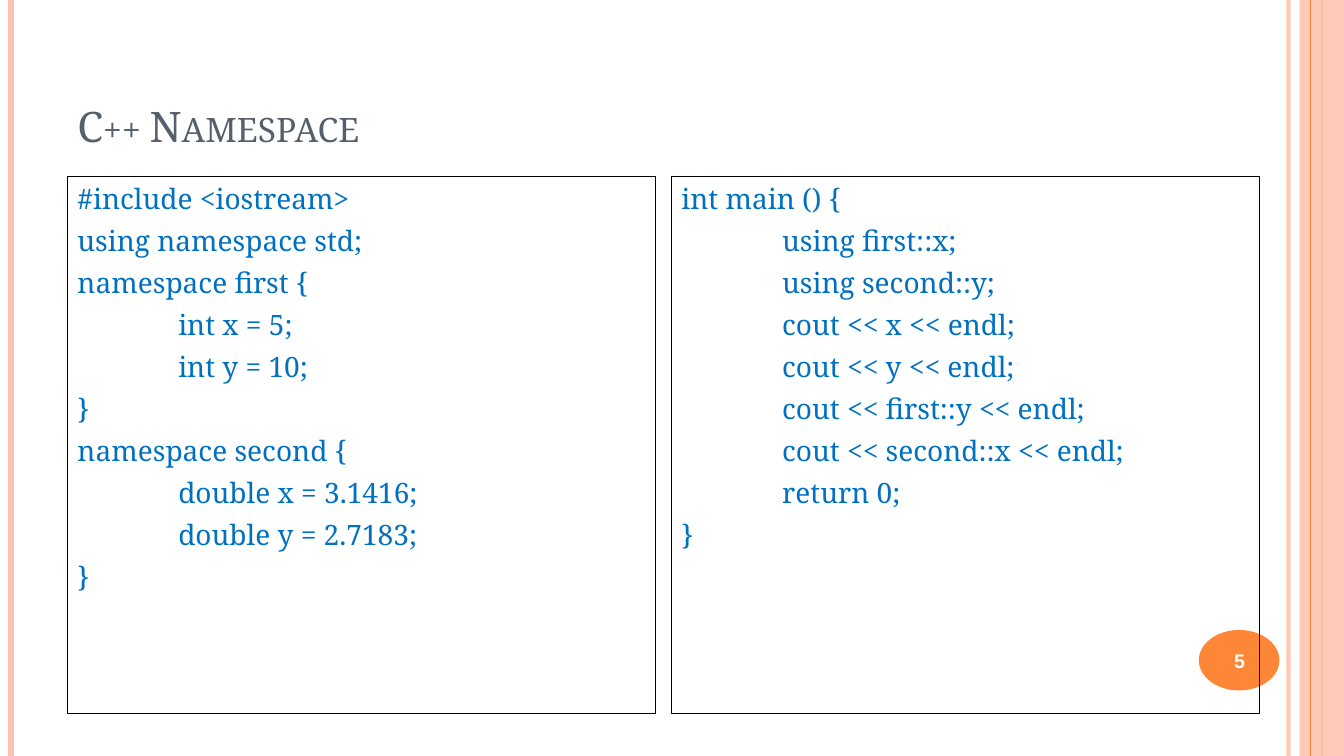
from typing import NamedTuple

from lxml import etree
from pptx import Presentation
from pptx.dml.color import RGBColor
from pptx.enum.shapes import MSO_CONNECTOR, MSO_SHAPE
from pptx.enum.text import MSO_ANCHOR, PP_ALIGN
from pptx.oxml.ns import qn
from pptx.util import Inches, Pt

STRAIGHT = MSO_CONNECTOR.STRAIGHT
RECT, OVAL = MSO_SHAPE.RECTANGLE, MSO_SHAPE.OVAL
TOP, MIDDLE, BOTTOM = MSO_ANCHOR.TOP, MSO_ANCHOR.MIDDLE, MSO_ANCHOR.BOTTOM
LEFT, CENTER = PP_ALIGN.LEFT, PP_ALIGN.CENTER

WIDTH, HEIGHT = 13.33, 7.5
PEACH, ORANGE, SLATE = "FEC3AE", "FE8637", "575F6D"
BLUE, BLACK, WHITE = "0070C0", "000000", "FFFFFF"
SERIF, SANS = "Noto Serif", "Arial"


class Box(NamedTuple):
    left: float
    top: float
    width: float
    height: float


class Rule(NamedTuple):
    x: float
    color: str
    weight: float
    alpha: int = 100


class Panel(NamedTuple):
    box: Box
    code: str


RULES = [
    Rule(12.78, PEACH, 3, 93),
    Rule(0.11, PEACH, 4.5),
]
MID_RULE = Rule(13.11, ORANGE, 1.5)
EDGE_RULE = Rule(13, ORANGE, 0.75)
BAND = Box(12.89, 0, 0.44, HEIGHT)
BADGE = Box(11.89, 6.25, 0.8, 0.6)
TITLE = Box(0.67, 0.3, 11.22, 1.25)
NUMBER = Box(11.85, 6.27, 0.89, 0.57)

PANELS = [
    Panel(Box(0.67, 1.75, 5.83, 5.33), """#include <iostream>
using namespace std;
namespace first {
\tint x = 5;
\tint y = 10;
}
namespace second {
\tdouble x = 3.1416;
\tdouble y = 2.7183;
}"""),
    Panel(Box(6.66, 1.75, 5.83, 5.33), """int main () {
\tusing first::x;
\tusing second::y;
\tcout << x << endl;
\tcout << y << endl;
\tcout << first::y << endl;
\tcout << second::x << endl;
\treturn 0;
}"""),
]


def paint(fmt, color: str, alpha: int = 100) -> None:
    """Give a fill a solid colour, with opacity in percent."""
    fmt.solid()
    fmt.fore_color.rgb = RGBColor.from_string(color)
    if alpha < 100:
        tint = fmt.fore_color._xFill.find(qn("a:srgbClr"))
        etree.SubElement(tint, qn("a:alpha")).set("val", str(alpha * 1000))


def add_rule(slide, rule: Rule):
    x = Inches(rule.x)
    line = slide.shapes.add_connector(STRAIGHT, x, 0, x, Inches(HEIGHT))
    paint(line.line.fill, rule.color, rule.alpha)
    line.line.width = Pt(rule.weight)
    etree.SubElement(line.element.spPr, qn("a:effectLst"))
    return line


def add_box(slide, kind, box: Box, fill: str = "", line: str = "",
            alpha: int = 100):
    shape = slide.shapes.add_shape(kind, *map(Inches, box))
    shape.shadow.inherit = False
    if fill:
        paint(shape.fill, fill, alpha)
    else:
        shape.fill.background()
    if line:
        paint(shape.line.fill, line)
        shape.line.width = Pt(0.75)
    else:
        shape.line.fill.background()
    return shape


def add_tab(para, stop: float) -> None:
    tabs = etree.SubElement(para._p.get_or_add_pPr(), qn("a:tabLst"))
    tab = etree.SubElement(tabs, qn("a:tab"))
    tab.set("pos", str(Inches(stop)))
    tab.set("algn", "l")


def set_text(shape, text: str, *, size: float, font: str, color: str,
             bold: bool = False, small: bool = False, align=LEFT,
             anchor=TOP, before: float = 0, pitch: float = 0,
             stop: float = 0) -> None:
    frame = shape.text_frame
    frame.word_wrap = True
    frame.vertical_anchor = anchor
    for i, row in enumerate(text.split("\n")):
        para = frame.add_paragraph() if i else frame.paragraphs[0]
        para.alignment = align
        para.space_before = Pt(before)
        if pitch:
            para.line_spacing = Pt(pitch)
        if stop:
            add_tab(para, stop)
        run = para.add_run()
        run.text = row
        run.font.size = Pt(size)
        run.font.name = font
        run.font.bold = bold
        paint(run.font.fill, color)
        if small:
            run.font._element.set("cap", "small")


def add_label(slide, box: Box, text: str, **style) -> None:
    set_text(slide.shapes.add_textbox(*map(Inches, box)), text, **style)


def main() -> None:
    deck = Presentation()
    deck.slide_width, deck.slide_height = Inches(WIDTH), Inches(HEIGHT)
    slide = deck.slides.add_slide(deck.slide_layouts[6])

    for rule in RULES:
        add_rule(slide, rule)
    band = add_box(slide, RECT, BAND, fill=PEACH, alpha=87)
    spine = add_rule(slide, MID_RULE)
    spine.begin_connect(band, 0)
    spine.end_connect(band, 2)
    spine.element.addnext(band.element)  # the band veils its middle line
    add_rule(slide, EDGE_RULE)
    add_box(slide, OVAL, BADGE, fill=ORANGE)

    add_label(slide, TITLE, "C++ Namespace", size=30, font=SERIF,
              color=SLATE, small=True, anchor=BOTTOM)
    for panel in PANELS:
        frame = add_box(slide, RECT, panel.box, line=BLACK)
        set_text(frame, panel.code, size=20, font=SERIF, color=BLUE,
                 before=6, pitch=24, stop=1)
    add_label(slide, NUMBER, "5", size=14, font=SANS, color=WHITE,
              bold=True, align=CENTER, anchor=MIDDLE)
    deck.save("out.pptx")


if __name__ == "__main__":
    main()
